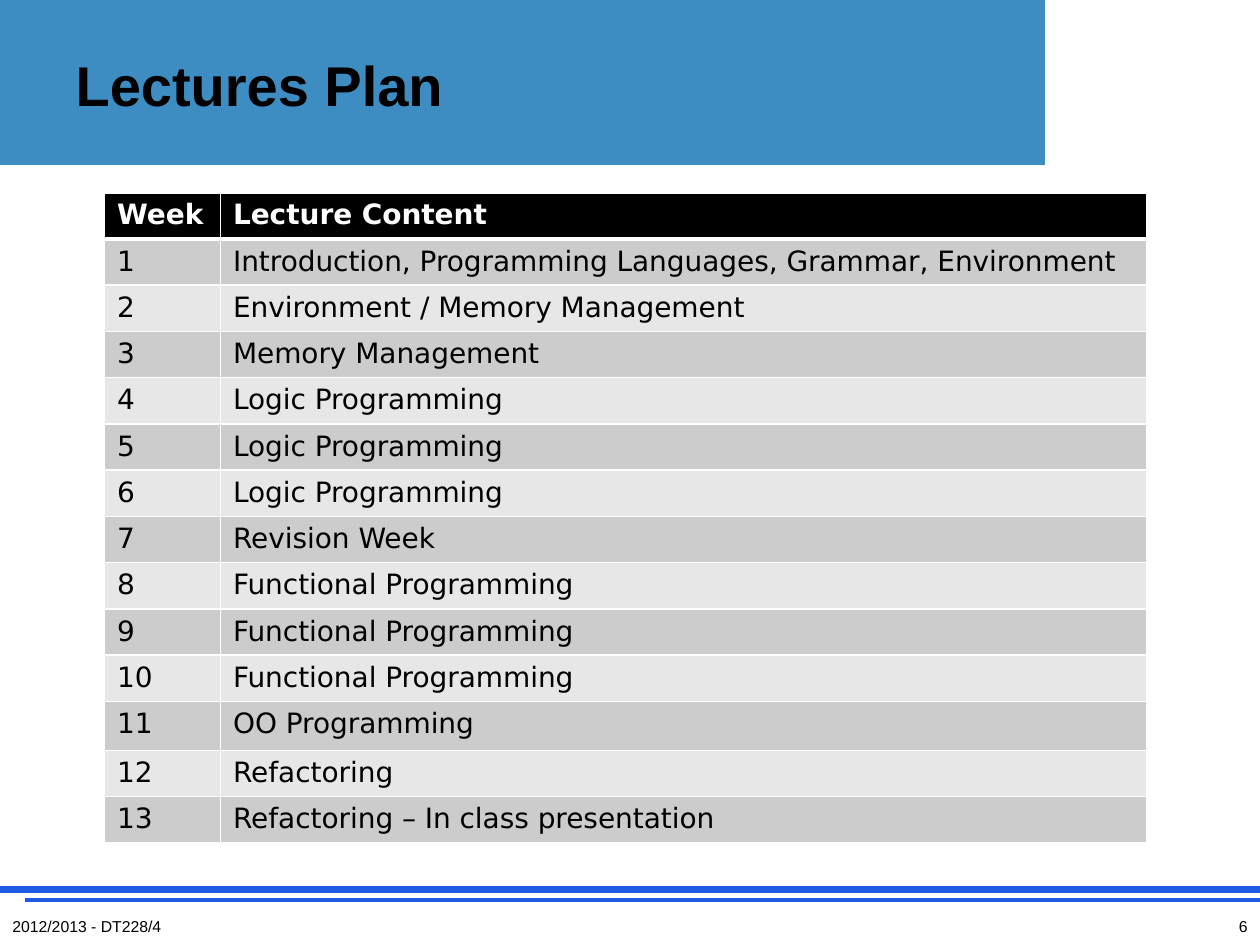
from lxml.etree import SubElement
from pptx import Presentation
from pptx.dml.color import RGBColor
from pptx.enum.shapes import MSO_CONNECTOR as Link, MSO_SHAPE as Shape
from pptx.enum.text import MSO_ANCHOR as Anchor, PP_ALIGN as Align
from pptx.oxml.ns import qn
from pptx.util import Inches, Pt

BLACK = RGBColor(0x00, 0x00, 0x00)
WHITE = RGBColor(0xFF, 0xFF, 0xFF)
BAND = RGBColor(0x3D, 0x8D, 0xC3)
RULE = RGBColor(0x1E, 0x5B, 0xE2)
DARK = RGBColor(0xCC, 0xCC, 0xCC)
LIGHT = RGBColor(0xE7, 0xE7, 0xE7)

PLAN = [
    "Introduction, Programming Languages, Grammar, Environment",
    "Environment / Memory Management",
    "Memory Management",
    *["Logic Programming"] * 3,
    "Revision Week",
    *["Functional Programming"] * 3,
    "OO Programming",
    "Refactoring",
    "Refactoring – In class presentation",
]


def write(frame, text, size=16, font="Arial", color=BLACK, bold=False,
          align=Align.LEFT, anchor=Anchor.TOP):
    frame.word_wrap = True
    frame.vertical_anchor = anchor
    para = frame.paragraphs[0]
    para.alignment = align
    run = para.add_run()
    run.text = text
    run.font.size = Pt(size)
    run.font.name = font
    run.font.bold = bold
    run.font.color.rgb = color


def edge(cell, side, width):
    line = SubElement(cell._tc.get_or_add_tcPr(), qn(f"a:ln{side}"), w=str(Pt(width)))
    fill = SubElement(line, qn("a:solidFill"))
    SubElement(fill, qn("a:srgbClr"), val=str(WHITE))


prs = Presentation()
prs.slide_width, prs.slide_height = Inches(10), Inches(7.5)
W, H = prs.slide_width, prs.slide_height
U = W / 100  # one hundredth of the slide's width
slide = prs.slides.add_slide(prs.slide_layouts[5])
shapes = slide.shapes

# Title band, with a white block over its right end
for left, width, height, color in [(0, 100, 13.1, BAND), (83.1, 16.9, 13.9, WHITE)]:
    box = shapes.add_shape(Shape.RECTANGLE, int(left * U), 0, int(width * U), int(height * U))
    box.shadow.inherit = False
    box.fill.solid()
    box.fill.fore_color.rgb = color
    if color == WHITE:
        box.line.color.rgb = WHITE
        box.line.width = Pt(2)
    else:
        box.line.fill.background()

# Title, in front of the band
title = shapes.title
title.left, title.top = int(5 * U), int(1.3 * U)
title.width, title.height = int(68.6 * U), int(10.8 * U)
write(title.text_frame, "Lectures Plan", size=32, bold=True, anchor=Anchor.MIDDLE)
shapes._spTree.append(title._element)

# Footer rules
for left, top, weight in [(0, 70.6, 4.5), (2, 71.4, 2.25)]:
    rule = shapes.add_connector(Link.STRAIGHT, int(left * U), int(top * U), W, int(top * U))
    rule.line.color.rgb = RULE
    rule.line.width = Pt(weight)
    SubElement(rule._element.spPr, qn("a:effectLst"))

# Footer texts
wide, high = int(23.3 * U), int(2.7 * U)
for left, text, align in [(0, "2012/2013 - DT228/4", Align.LEFT), (W - wide, "6", Align.RIGHT)]:
    foot = shapes.add_textbox(left, H - high, wide, high)
    write(foot.text_frame, text, size=9, align=align)

# Lecture table
rows = [("Week", "Lecture Content")] + [(str(n), text) for n, text in enumerate(PLAN, 1)]
cols = [9.2, 73.5]
step = int(3.5 * U)
table = shapes.add_table(len(rows), len(cols), int(8.3 * U), int(15.3 * U),
                         int(sum(cols) * U), step * len(rows)).table
for col, width in zip(table.columns, cols):
    col.width = int(width * U)
table.rows[11].height = int(3.9 * U)
for r, row in enumerate(rows):
    head = r == 0
    for c, text in enumerate(row):
        cell = table.cell(r, c)
        write(cell.text_frame, text, font="DejaVu Sans", bold=head,
              color=WHITE if head else BLACK)
        for side in "LRTB":
            thick = (head and side == "B") or (r == 1 and side == "T")
            edge(cell, side, 3 if thick else 1)
        cell.fill.solid()
        cell.fill.fore_color.rgb = BLACK if head else DARK if r % 2 else LIGHT

prs.save("out.pptx")
